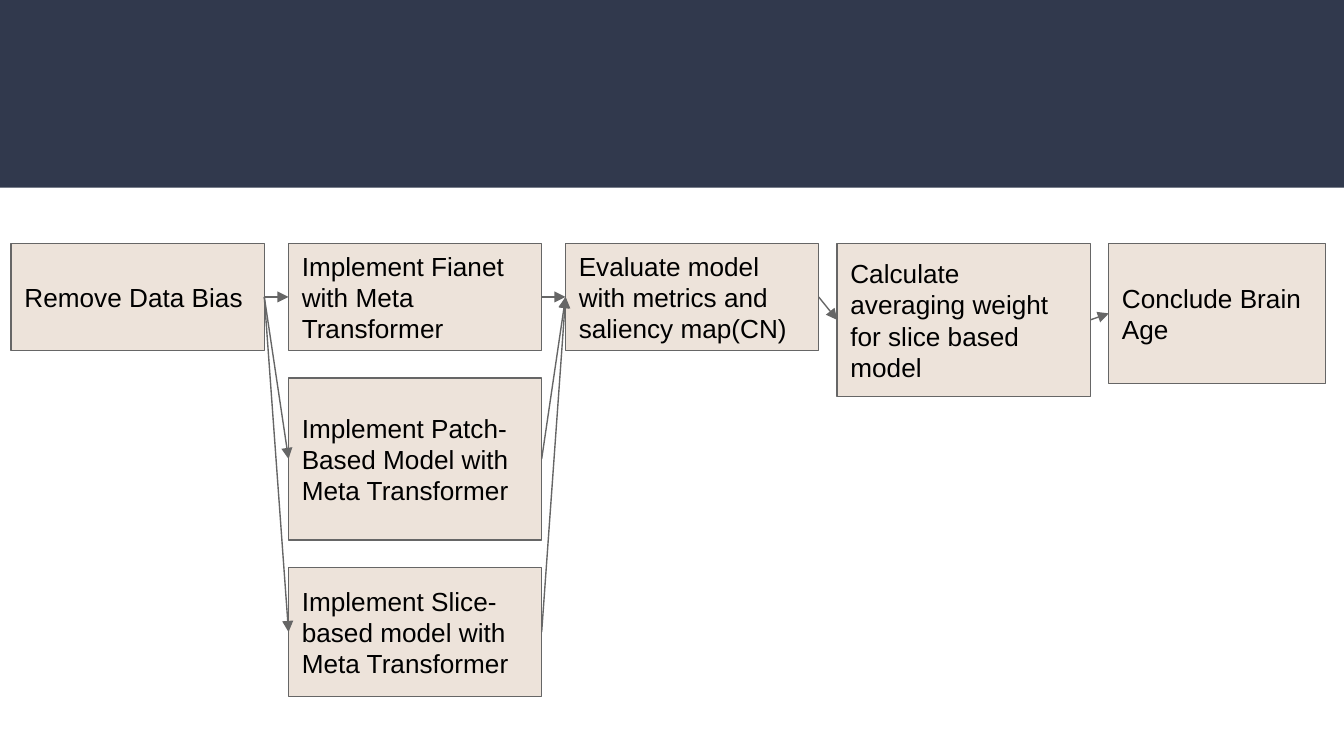
import pptx
import pptx.util
import pptx.dml.color
import pptx.enum.shapes
import pptx.enum.text
import pptx.oxml
import pptx.oxml.ns

Pt = pptx.util.Pt
RGB = pptx.dml.color.RGBColor
RECT = pptx.enum.shapes.MSO_SHAPE.RECTANGLE
STRAIGHT = pptx.enum.shapes.MSO_CONNECTOR.STRAIGHT

NAVY = RGB(0x31, 0x39, 0x4D)
SAND = RGB(0xED, 0xE3, 0xDA)
GRAY = RGB(0x66, 0x66, 0x66)
BLACK = RGB(0, 0, 0)

deck = pptx.Presentation()
deck.slide_width, deck.slide_height = Pt(720), Pt(405)
slide = deck.slides.add_slide(deck.slide_layouts[6])
shapes = slide.shapes

# Header band
band = shapes.add_shape(RECT, 0, 0, deck.slide_width, Pt(100.5))
band.shadow.inherit = False
band.fill.solid()
band.fill.fore_color.rgb = NAVY
band.line.fill.background()

# Steps: key, left, top, width, height, text
TOP, WIDE, LOW = 130.4, 135.6, 57.4
MID = 154.6
steps = [
    ("bias", 6, TOP, WIDE, LOW, "Remove Data Bias"),
    ("fianet", MID, TOP, WIDE, LOW, "Implement Fianet with Meta Transformer"),
    ("patch", MID, 202.5, WIDE, 86.8,
     "Implement Patch-Based Model with Meta Transformer"),
    ("slice", MID, 304.1, WIDE, 69,
     "Implement Slice-based model with Meta Transformer"),
    ("score", 303, TOP, WIDE, LOW,
     "Evaluate model with metrics and saliency map(CN)"),
    ("weight", 448.5, TOP, WIDE, 82,
     "Calculate averaging weight for slice based model"),
    ("age", 594, TOP, 116, 75, "Conclude Brain Age"),
]
boxes = {}
for key, left, top, width, height, text in steps:
    box = shapes.add_shape(RECT, Pt(left), Pt(top), Pt(width), Pt(height))
    box.shadow.inherit = False
    box.fill.solid()
    box.fill.fore_color.rgb = SAND
    box.line.color.rgb = GRAY
    box.line.width = Pt(0.75)
    frame = box.text_frame
    frame.word_wrap = True
    frame.vertical_anchor = pptx.enum.text.MSO_ANCHOR.MIDDLE
    frame.margin_left = frame.margin_right = Pt(7.2)
    frame.margin_top = frame.margin_bottom = Pt(7.2)
    para = frame.paragraphs[0]
    para.alignment = pptx.enum.text.PP_ALIGN.LEFT
    run = para.add_run()
    run.text = text
    run.font.name = "Arial"
    run.font.size = Pt(14)
    run.font.color.rgb = BLACK
    boxes[key] = box

# Arrows from right side to left side
models = ["fianet", "patch", "slice"]
links = [("bias", model) for model in models]
links += [(model, "score") for model in models]
links += [("score", "weight"), ("weight", "age")]
for start, end in links:
    arrow = shapes.add_connector(STRAIGHT, 0, 0, 0, 0)
    arrow.begin_connect(boxes[start], 3)
    arrow.end_connect(boxes[end], 1)
    arrow.line.color.rgb = GRAY
    arrow.line.width = Pt(0.75)
    head = pptx.oxml.parse_xml(
        f'<a:tailEnd {pptx.oxml.ns.nsdecls("a")} type="triangle"/>')
    arrow.line._get_or_add_ln().append(head)
    arrow._element.spPr.append(pptx.oxml.parse_xml(
        f'<a:effectLst {pptx.oxml.ns.nsdecls("a")}/>'))

deck.save("out.pptx")
